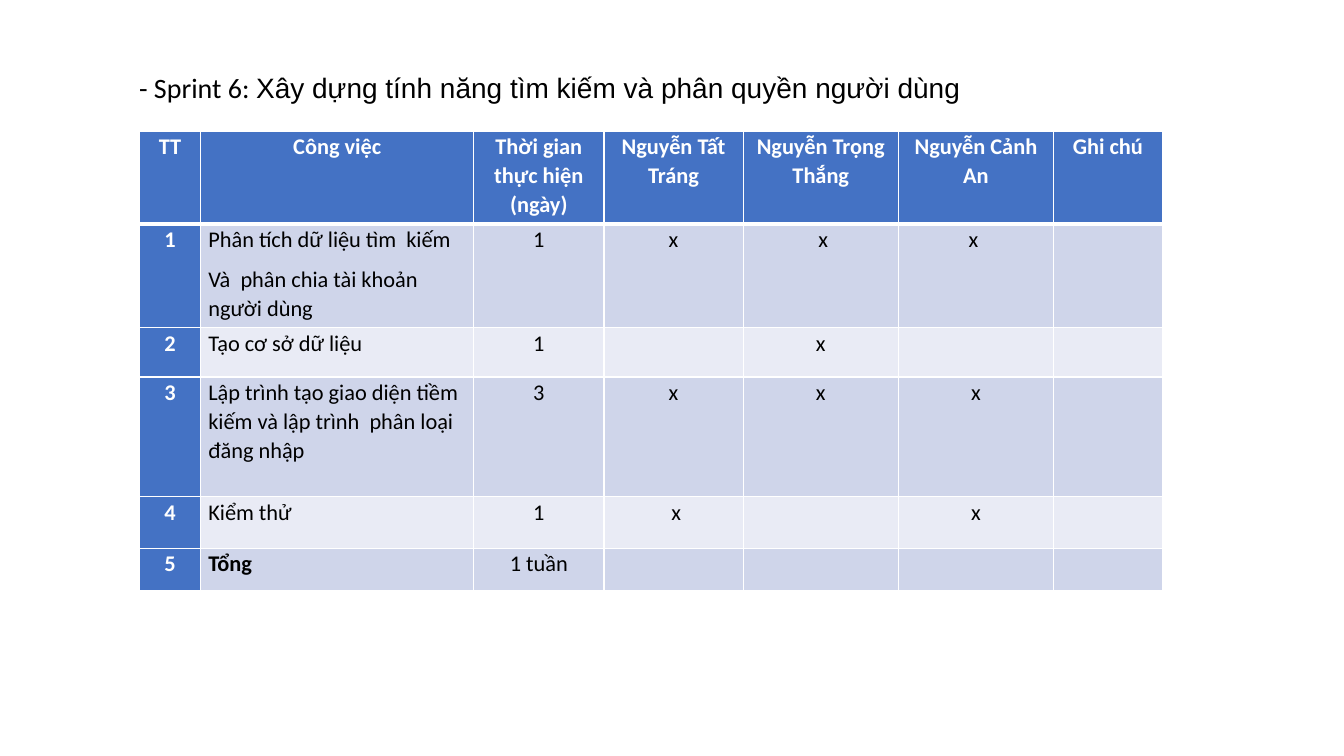
from lxml.etree import SubElement as Sub
from pptx import Presentation
from pptx.dml.color import RGBColor
from pptx.enum.text import MSO_ANCHOR as Anchor, PP_ALIGN as Align
from pptx.oxml.ns import qn
from pptx.util import Cm, Pt

WHITE = RGBColor(0xFF, 0xFF, 0xFF)
BLACK = RGBColor(0, 0, 0)
BLUE = RGBColor(0x44, 0x72, 0xC4)
BANDS = RGBColor(0xCF, 0xD5, 0xEA), RGBColor(0xE9, 0xEB, 0xF5)

WIDTHS = [1.55, 6.88, 3.28, 3.51, 3.91, 3.91, 2.74]
HEIGHTS = [2.34, 2.62, 1.24, 3.02, 1.3, 1.07]
TASKS = [
    ["TT", "Công việc", "Thời gian thực hiện (ngày)", "Nguyễn Tất Tráng",
     "Nguyễn Trọng Thắng", "Nguyễn Cảnh An", "Ghi chú"],
    ["1", "Phân tích dữ liệu tìm  kiếm\nVà  phân chia tài khoản người dùng",
     "1", "x", " x", "x ", ""],
    ["2", "Tạo cơ sở dữ liệu", "1", "", "x", "", ""],
    ["3", "Lập trình tạo giao diện tiềm kiếm và lập trình  phân loại đăng nhập",
     "3", "x", "x", "x", ""],
    ["4", "Kiểm thử", "1", " x", "", "x", ""],
    ["5", "Tổng", "1 tuần", "", "", "", ""],
]


def apply(item, form):
    for key, val in form.items():
        setattr(item, key, val)


class Deck:
    para = {"line_spacing": 1.07, "space_after": Pt(8), "space_before": Pt(0)}
    inset = {"margin_left": Cm(0.19), "margin_right": Cm(0.19),
             "margin_top": 0, "margin_bottom": 0}

    def __init__(self):
        self.file = Presentation()
        apply(self.file, {"slide_width": Cm(33.87), "slide_height": Cm(19.05)})
        self.slide = self.file.slides.add_slide(self.file.slide_layouts[5])

    def style(self, font, color, **form):
        apply(font, form)
        font.color.rgb = color

    def title(self, parts, box):
        shape = self.slide.shapes.title
        apply(shape, dict(zip(("left", "top", "width", "height"), map(Cm, box))))
        frame = shape.text_frame
        apply(frame, {"vertical_anchor": Anchor.MIDDLE, "word_wrap": True,
                      "margin_bottom": Cm(1)})
        para = frame.paragraphs[0]
        apply(para, {"alignment": Align.LEFT, "line_spacing": 0.9})
        for text, face in parts:
            run = para.add_run()
            run.text = text
            self.style(run.font, BLACK, name=face, size=Pt(20))

    def border(self, cell, row):
        props = cell._tc.get_or_add_tcPr()
        # The rule under the header is thicker
        thick = {"lnB": row == 0, "lnT": row == 1}
        for side in ("lnL", "lnR", "lnT", "lnB"):
            width = Pt(3 if thick.get(side) else 1)
            line = Sub(props, qn("a:" + side), w=str(width))
            Sub(Sub(line, qn("a:solidFill")), qn("a:srgbClr"), val=str(WHITE))

    def cell(self, cell, row, col, text):
        head = row == 0 or col == 0
        apply(cell, self.inset)
        self.border(cell, row)
        cell.fill.solid()
        cell.fill.fore_color.rgb = BLUE if head else BANDS[(row - 1) % 2]
        if not text:
            return
        cell.text = text
        for para in cell.text_frame.paragraphs:
            left = col == 1 and row > 0
            apply(para, {**self.para, "alignment": Align.LEFT if left else Align.CENTER})
            self.style(para.runs[0].font, WHITE if head else BLACK, name="Calibri",
                       size=Pt(16), bold=head or text == "Tổng")

    def table(self, rows, left, top):
        box = map(Cm, (left, top, sum(WIDTHS), sum(HEIGHTS)))
        grid = self.slide.shapes.add_table(len(rows), len(WIDTHS), *box).table
        for col, width in zip(grid.columns, WIDTHS):
            col.width = Cm(width)
        for line, height in zip(grid.rows, HEIGHTS):
            line.height = Cm(height)
        for r, texts in enumerate(rows):
            for c, text in enumerate(texts):
                self.cell(grid.cell(r, c), r, c, text)


def main():
    deck = Deck()
    # Sprint heading
    deck.title([("- Sprint 6: ", "Calibri"),
                ("Xây dựng tính năng tìm kiếm và phân quyền người dùng", "Arial")],
               (3.25, 1.17, 28.65, 3.05))
    # Task plan
    deck.table(TASKS, 3.51, 3.3)
    deck.file.save("out.pptx")


if __name__ == "__main__":
    main()
